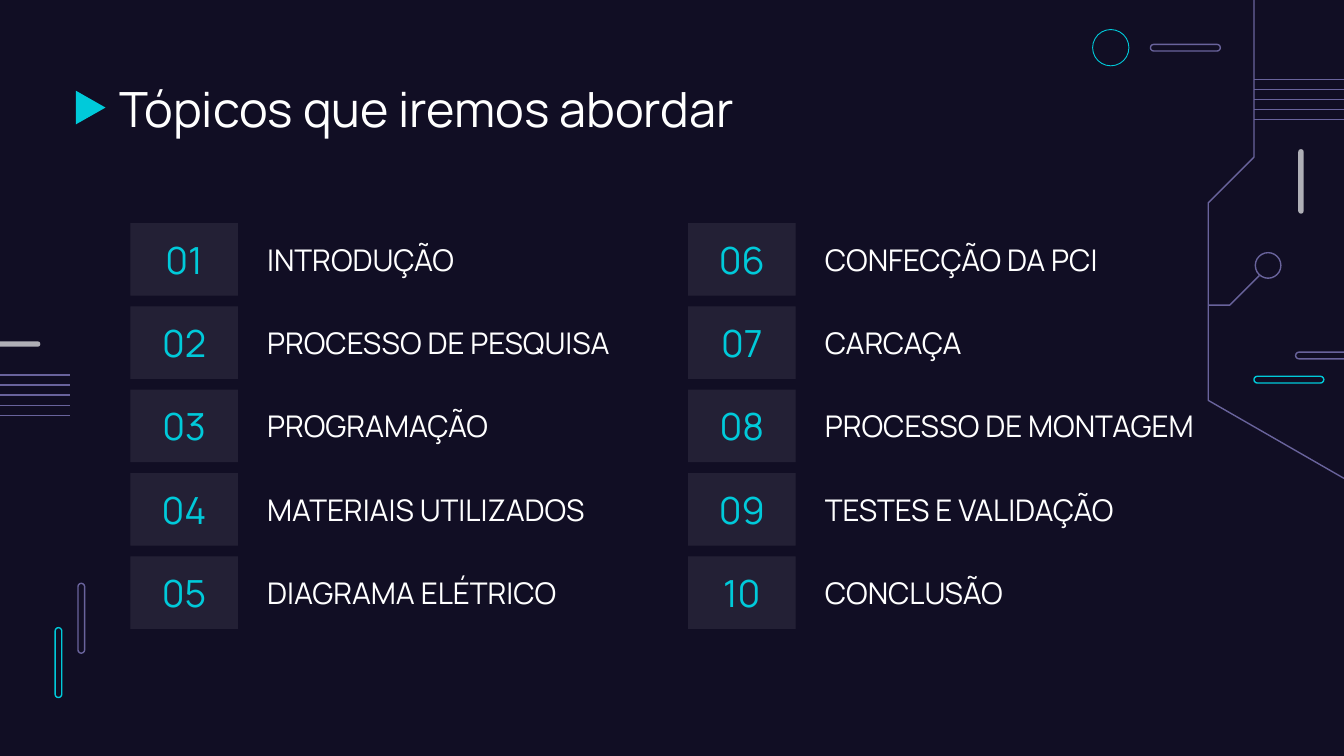
from lxml import etree
from pptx import Presentation
from pptx import util as u
from pptx.dml.color import RGBColor
from pptx.enum import shapes, text
from pptx.oxml.ns import qn

NIGHT = RGBColor(0x11, 0x0E, 0x24)
CYAN = RGBColor(0x00, 0xCA, 0xDA)
PURPLE = RGBColor(0x69, 0x63, 0x9C)
GREY = RGBColor(0xAF, 0xAF, 0xB6)
WHITE = RGBColor(0xFF, 0xFF, 0xFF)

SHAPE = shapes.MSO_SHAPE
LEFT, CENTER = text.PP_ALIGN.LEFT, text.PP_ALIGN.CENTER
TOP, MIDDLE = text.MSO_ANCHOR.TOP, text.MSO_ANCHOR.MIDDLE

SLIDE_WIDTH = 10
SLIDE_HEIGHT = SLIDE_WIDTH * 9 / 16
ROW_PITCH = 0.62
ROW_HEIGHT = 0.54
LEFT_TOPICS = ["INTRODUÇÃO", "PROCESSO DE PESQUISA", "PROGRAMAÇÃO",
               "MATERIAIS UTILIZADOS", "DIAGRAMA ELÉTRICO"]
RIGHT_TOPICS = ["CONFECÇÃO DA PCI", "CARCAÇA", "PROCESSO DE MONTAGEM",
                "TESTES E VALIDAÇÃO", "CONCLUSÃO"]


def inches(*lengths):
    return [u.Inches(length) for length in lengths]


def paint(shape, fill=None, line=None, width=0.75):
    """Give a shape its fill and outline, and no shadow."""
    shape.shadow.inherit = False
    if fill is None:
        shape.fill.background()
    else:
        shape.fill.solid()
        shape.fill.fore_color.rgb = fill
    if line is None:
        shape.line.fill.background()
    else:
        shape.line.color.rgb = line
        shape.line.width = u.Pt(width)


def add_preset(slide, kind, box, **colours):
    shape = slide.shapes.add_shape(kind, *inches(*box))
    paint(shape, **colours)
    return shape


def add_pill(slide, box, **colours):
    pill = add_preset(slide, SHAPE.ROUNDED_RECTANGLE, box, **colours)
    pill.adjustments[0] = 0.5


def add_trace(slide, points):
    """Open circuit trace through the given points."""
    start, *rest = [inches(*point) for point in points]
    builder = slide.shapes.build_freeform(*start, scale=1.0)
    builder.add_line_segments(rest, close=False)
    paint(builder.convert_to_shape(), line=PURPLE)


def add_stripes(slide, left, top, width, height, count=5):
    """Evenly spaced horizontal lines filling a box."""
    for index in range(count):
        y = top + index * height / (count - 1)
        line = slide.shapes.add_connector(
            shapes.MSO_CONNECTOR.STRAIGHT, *inches(left, y, left + width, y))
        line.line.color.rgb = PURPLE
        line.line.width = u.Pt(0.75)
        etree.SubElement(line._element.spPr, qn("a:effectLst"))


def write(shape, words, size, colour=WHITE, align=LEFT, anchor=MIDDLE):
    frame = shape.text_frame
    frame_format = {"word_wrap": True, "vertical_anchor": anchor}
    for side in ("left", "right", "top", "bottom"):
        frame_format["margin_" + side] = u.Inches(0.1)
    for name, value in frame_format.items():
        setattr(frame, name, value)
    paragraph = frame.paragraphs[0]
    paragraph.alignment = align
    run = paragraph.add_run()
    run.text = words
    for name, value in {"name": "Manrope", "size": u.Pt(size)}.items():
        setattr(run.font, name, value)
    run.font.color.rgb = colour


def add_text(slide, box, words, size, **options):
    write(slide.shapes.add_textbox(*inches(*box)), words, size, **options)


def add_left_decoration(slide):
    add_pill(slide, (0.41, 4.67, 0.05, 0.52), line=CYAN)
    add_pill(slide, (0.58, 4.34, 0.05, 0.52), line=PURPLE)
    add_stripes(slide, 0, 2.79, 0.52, 0.3)
    add_pill(slide, (-0.18, 2.54, 0.48, 0.04), fill=GREY)


def add_right_decoration(slide):
    # Loose circle and bars
    add_preset(slide, SHAPE.OVAL, (8.13, 0.22, 0.27, 0.27), line=CYAN, width=0.47)
    add_pill(slide, (8.56, 0.33, 0.52, 0.05), line=PURPLE)
    add_pill(slide, (9.33, 2.8, 0.52, 0.05), line=CYAN)
    add_pill(slide, (9.64, 2.62, 0.52, 0.05), line=PURPLE)
    add_pill(slide, (9.66, 1.11, 0.04, 0.48), fill=GREY)
    # Circuit traces with their node
    add_trace(slide, [(9.37, 2.05), (9.15, 2.27), (8.99, 2.27)])
    add_preset(slide, SHAPE.OVAL, (9.34, 1.88, 0.19, 0.19), line=PURPLE)
    add_trace(slide, [(10, 3.56), (8.99, 2.98), (8.99, 1.51), (9.33, 1.17), (9.33, 0)])
    add_stripes(slide, 9.33, 0.59, 0.67, 0.3)


def add_heading(slide, left, top, width, height):
    marker = add_preset(slide, SHAPE.FLOWCHART_MERGE,
                        (left - 0.24, top + 0.2, 0.25, 0.22), fill=CYAN)
    marker.rotation = 270
    add_text(slide, (left, top, width, height), "Tópicos que iremos abordar", 26,
             anchor=TOP)


def add_topics(slide, left, top, topics, first):
    """Column of numbered topics."""
    for row, topic in enumerate(topics):
        y = top + row * ROW_PITCH
        tile = add_preset(slide, SHAPE.RECTANGLE, (left, y, 0.8, ROW_HEIGHT), fill=WHITE)
        colour = tile._element.spPr.find(qn("a:solidFill"))[0]
        etree.SubElement(colour, qn("a:alpha"), val="8000")
        write(tile, f"{first + row:02d}", 20, colour=CYAN, align=CENTER)
        add_text(slide, (left + 0.92, y, 2.97, ROW_HEIGHT), topic, 16)


def main():
    presentation = Presentation()
    presentation.slide_width, presentation.slide_height = inches(SLIDE_WIDTH, SLIDE_HEIGHT)
    slide = presentation.slides.add_slide(presentation.slide_layouts[6])
    slide.background.fill.solid()
    slide.background.fill.fore_color.rgb = NIGHT

    add_left_decoration(slide)
    add_right_decoration(slide)
    add_heading(slide, 0.79, 0.49, 8.43, 0.63)
    add_topics(slide, 0.97, 1.66, LEFT_TOPICS, first=1)
    add_topics(slide, 5.12, 1.66, RIGHT_TOPICS, first=6)
    presentation.save("out.pptx")


if __name__ == "__main__":
    main()
